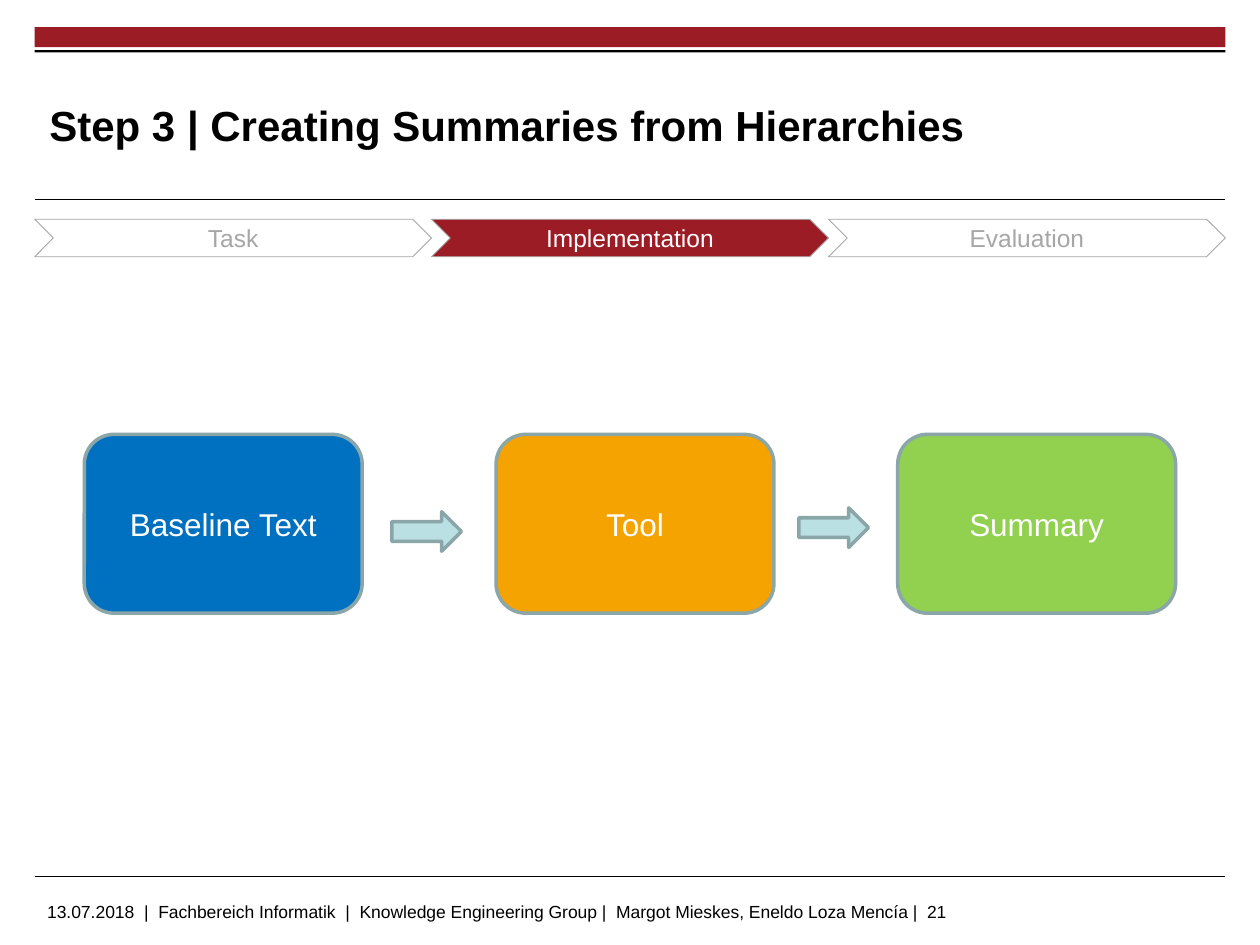
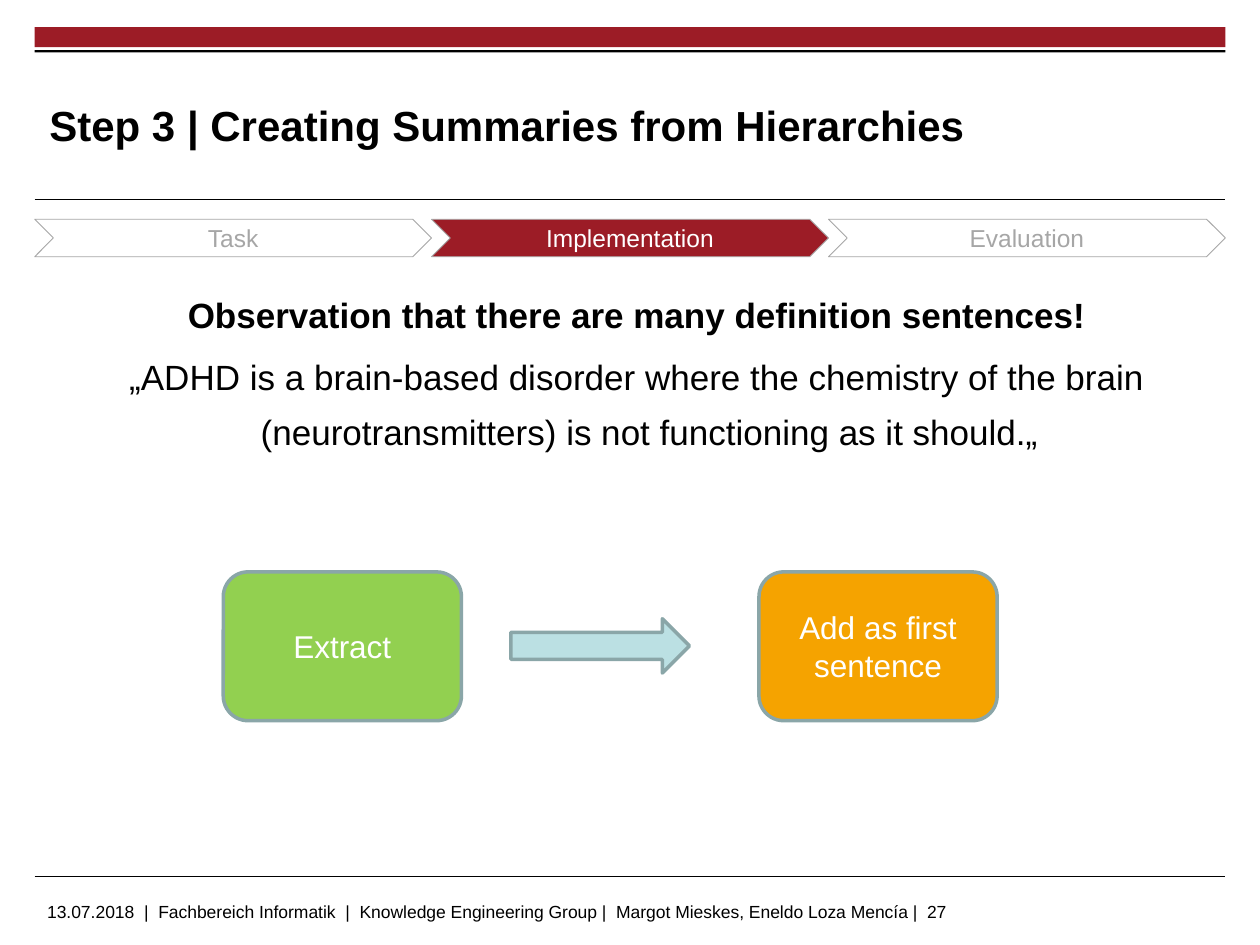
"""Build two slides on creating summaries from hierarchies."""
from lxml import etree
from pptx import Presentation
from pptx.dml.color import RGBColor
from pptx.enum.shapes import MSO_CONNECTOR, MSO_SHAPE
from pptx.enum.text import MSO_ANCHOR, PP_ALIGN
from pptx.oxml.ns import qn
from pptx.util import Pt

RECTANGLE = MSO_SHAPE.RECTANGLE
ROUNDED = MSO_SHAPE.ROUNDED_RECTANGLE
ARROW = MSO_SHAPE.RIGHT_ARROW
CHEVRON = MSO_SHAPE.CHEVRON
STRAIGHT = MSO_CONNECTOR.STRAIGHT
TOP, MIDDLE = MSO_ANCHOR.TOP, MSO_ANCHOR.MIDDLE
LEFT, CENTER = PP_ALIGN.LEFT, PP_ALIGN.CENTER

BLACK = RGBColor(0x00, 0x00, 0x00)
WHITE = RGBColor(0xFF, 0xFF, 0xFF)
RED = RGBColor(0x9C, 0x1C, 0x26)
GRAY = RGBColor(0xA6, 0xA6, 0xA6)
BLUE = RGBColor(0x00, 0x70, 0xC0)
ORANGE = RGBColor(0xF5, 0xA3, 0x00)
GREEN = RGBColor(0x92, 0xD0, 0x50)
PALE_TEAL = RGBColor(0xBB, 0xE0, 0xE3)
OUTLINE = RGBColor(0x8A, 0xA6, 0xA8)

FONT = "Arial"
MARGIN = 19.8
CONTENT_WIDTH = 680.4
TITLE = "Step 3 | Creating Summaries from Hierarchies"
FOOTER = ("13.07.2018  |  Fachbereich Informatik  |  Knowledge Engineering Group |  "
          "Margot Mieskes, Eneldo Loza Mencía |  ")
STAGES = ("Task", "Implementation", "Evaluation")
CURRENT_STAGE = "Implementation"


def write(shape, text, size, color, alignment=CENTER, anchor=MIDDLE):
    """Fill a shape with uniformly formatted text."""
    frame = shape.text_frame
    frame.word_wrap = True
    frame.vertical_anchor = anchor
    frame.text = text
    for paragraph in frame.paragraphs:
        paragraph.alignment = alignment
        font = paragraph.runs[0].font
        font.name, font.size, font.color.rgb = FONT, Pt(size), color
    return frame


def add_shape(slide, kind, left, top, width, height, fill, line=None, line_width=2):
    """Add a flat preset shape with an optional outline."""
    shape = slide.shapes.add_shape(kind, Pt(left), Pt(top), Pt(width), Pt(height))
    shape.shadow.inherit = False
    shape.fill.solid()
    shape.fill.fore_color.rgb = fill
    if line is None:
        shape.line.fill.background()
    else:
        shape.line.color.rgb = line
        shape.line.width = Pt(line_width)
    return shape


def add_text(slide, left, top, width, height, text, size, **layout):
    """Add a black text box and return its text frame."""
    box = slide.shapes.add_textbox(Pt(left), Pt(top), Pt(width), Pt(height))
    return write(box, text, size, BLACK, **layout)


def add_rule(slide, left, top):
    """Add a thin horizontal line across the content width."""
    rule = slide.shapes.add_connector(
        STRAIGHT, Pt(left), Pt(top), Pt(left + CONTENT_WIDTH), Pt(top))
    rule.line.color.rgb = BLACK
    rule.line.width = Pt(0.6)
    etree.SubElement(rule._element.spPr, qn("a:effectLst"))


def add_box(slide, left, top, width, height, fill, text):
    """Add a labelled step of the process."""
    box = add_shape(slide, ROUNDED, left, top, width, height, fill, OUTLINE)
    write(box, text, 18, WHITE)


def add_arrow(slide, left, top, width, height):
    """Add a block arrow between two steps."""
    add_shape(slide, ARROW, left, top, width, height, PALE_TEAL, OUTLINE)


def add_stages(slide):
    """Add the chevron row that highlights the current stage."""
    width = CONTENT_WIDTH / len(STAGES)
    for index, stage in enumerate(STAGES):
        fill, color = (RED, WHITE) if stage == CURRENT_STAGE else (WHITE, GRAY)
        chevron = add_shape(slide, CHEVRON, MARGIN + index * width, 125.3,
                            width, 21.4, fill, GRAY, 0.5)
        write(chevron, stage, 14, color)


def add_base_slide(presentation, number):
    """Add a slide with bands, title, stages and footer."""
    slide = presentation.slides.add_slide(presentation.slide_layouts[6])
    add_shape(slide, RECTANGLE, MARGIN, 15.6, CONTENT_WIDTH, 11.4, RED)
    add_shape(slide, RECTANGLE, MARGIN, 28.6, CONTENT_WIDTH, 1.4, BLACK)
    add_rule(slide, MARGIN, 114.2)
    add_rule(slide, MARGIN, 500.6)
    add_text(slide, MARGIN, 511.2, 567.4, 18, f"{FOOTER}{number}", 10,
             alignment=LEFT, anchor=TOP)
    title = add_text(slide, 28.2, 38.2, 530, 66.2, TITLE, 24, alignment=LEFT)
    title.margin_left = title.margin_right = title.margin_top = title.margin_bottom = 0
    title.paragraphs[0].runs[0].font.bold = True
    add_stages(slide)
    return slide


def add_observation(slide, heading, quote):
    """Add a bold heading above a centred quotation."""
    frame = add_text(slide, 28.1, 157, 671.8, 323.3, f"{heading}\n{quote}", 20, anchor=TOP)
    frame.margin_left = frame.margin_right = 0
    for paragraph in frame.paragraphs:
        paragraph.line_spacing = 1.3
        paragraph.space_before, paragraph.space_after = Pt(2), Pt(2.3)
        properties = paragraph._p.get_or_add_pPr()
        properties.set("marL", str(Pt(14.4)))
        properties.set("indent", str(-Pt(14.4)))
    frame.paragraphs[0].runs[0].font.bold = True


def add_pipeline_slide(presentation):
    """Show the way from baseline text to summary."""
    slide = add_base_slide(presentation, 21)
    steps = ((48.2, BLUE, "Baseline Text"), (283.5, ORANGE, "Tool"), (513, GREEN, "Summary"))
    for left, fill, label in steps:
        add_box(slide, left, 248.2, 158.8, 102.2, fill, label)
    for left, top in ((223.9, 292.4), (456.5, 290.2)):
        add_arrow(slide, left, top, 39.8, 22.6)


def add_definition_slide(presentation):
    """Show how definition sentences are used."""
    slide = add_base_slide(presentation, 27)
    add_observation(
        slide, "Observation that there are many definition sentences!",
        "„ADHD is a brain-based disorder where the chemistry of the brain "
        "(neurotransmitters) is not functioning as it should.„")
    for left, fill, label in ((127.6, GREEN, "Extract"),
                              (433.7, ORANGE, "Add as first\nsentence")):
        add_box(slide, left, 326.8, 136.1, 85, fill, label)
    add_arrow(slide, 292, 353.6, 102, 31)


def main():
    """Create and save the presentation."""
    presentation = Presentation()
    presentation.slide_width, presentation.slide_height = Pt(720), Pt(540)
    add_pipeline_slide(presentation)
    add_definition_slide(presentation)
    presentation.save("out.pptx")


if __name__ == "__main__":
    main()
